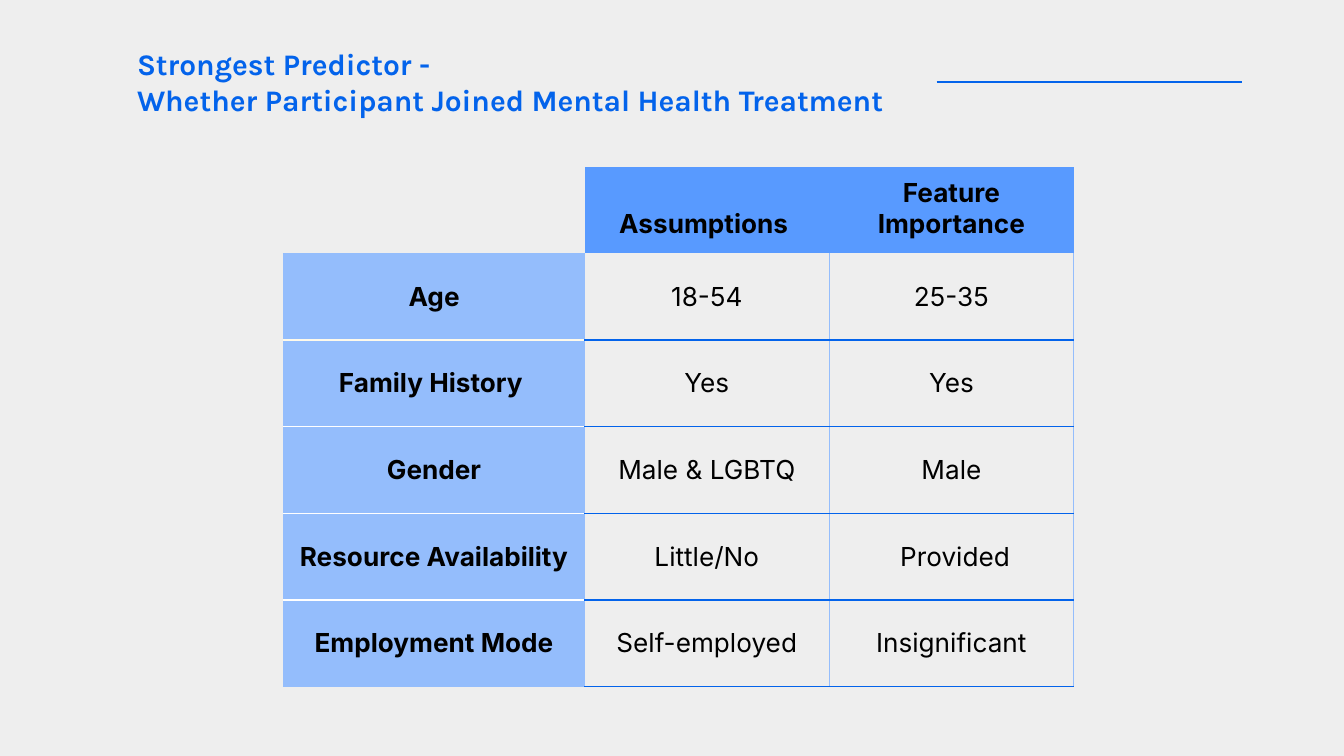
from lxml.etree import SubElement
from pptx import Presentation
from pptx.dml.color import RGBColor
from pptx.enum.shapes import MSO_CONNECTOR
from pptx.enum.text import MSO_ANCHOR, PP_ALIGN
from pptx.oxml.ns import qn
from pptx.util import Inches, Pt

BLUE, HEADER_BLUE, LABEL_BLUE = "0363EB", "589AFF", "94BDFC"
CREAM, WHITE, BLACK, BACKGROUND = "FFFAEA", "FFFFFF", "000000", "EEEEEE"
COLUMN_WIDTHS = (2.24, 1.82, 1.82)
TABLE_HEIGHT = 3.87
HEADINGS = ("", "Assumptions ", "Feature Importance")
PREDICTORS = (
    ("Age", "18-54", "25-35"),
    ("Family History ", "Yes", "Yes"),
    ("Gender", "Male & LGBTQ", "Male"),
    ("Resource Availability", "Little/No", " Provided"),
    ("Employment Mode", "Self-employed", "Insignificant"),
)
LABEL_RULES = (LABEL_BLUE, CREAM, WHITE, WHITE, WHITE, LABEL_BLUE)


def color(hex_code):
    return RGBColor.from_string(hex_code)


def write(frame, text, font, size, ink=BLACK, bold=False,
          align=PP_ALIGN.LEFT, anchor=MSO_ANCHOR.MIDDLE):
    frame.word_wrap = True
    frame.vertical_anchor = anchor
    for index, line in enumerate(text.split("\n")):
        paragraph = frame.add_paragraph() if index else frame.paragraphs[0]
        paragraph.alignment = align
        run = paragraph.add_run()
        run.text = line
        run.font.name = font
        run.font.size = Pt(size)
        run.font.bold = bold
        run.font.color.rgb = color(ink)


def add_title(slide, text):
    title = slide.shapes.add_textbox(
        Inches(0.77), Inches(0.28), Inches(6.2), Inches(0.65))
    frame = title.text_frame
    frame.margin_left = frame.margin_right = Inches(0.25)
    write(frame, text, "Karla", 16, ink=BLUE, bold=True)


def add_rule(slide, left, right, height):
    rule = slide.shapes.add_connector(
        MSO_CONNECTOR.STRAIGHT,
        Inches(left), Inches(height), Inches(right), Inches(height))
    rule.line.color.rgb = color(BLUE)
    rule.line.width = Pt(0.75)
    SubElement(rule._element.spPr, qn("a:effectLst"))


def set_borders(cell, left=None, right=None, top=None, bottom=None):
    properties = cell._tc.get_or_add_tcPr()
    for tag, ink in (("lnL", left), ("lnR", right), ("lnT", top), ("lnB", bottom)):
        edge = SubElement(properties, qn(f"a:{tag}"), w=str(Pt(0.75)))
        if ink:
            fill = SubElement(edge, qn("a:solidFill"))
            SubElement(fill, qn("a:srgbClr"), val=ink)
        else:
            SubElement(edge, qn("a:noFill"))


def fill_cell(cell, text, fill=None, bold=False,
              anchor=MSO_ANCHOR.MIDDLE, bottom_margin=0.07):
    cell.margin_top = Inches(0.07)
    cell.margin_bottom = Inches(bottom_margin)
    cell.vertical_anchor = anchor
    if fill:
        cell.fill.solid()
        cell.fill.fore_color.rgb = color(fill)
    else:
        cell.fill.background()
    if text:
        write(cell.text_frame, text, "Inter", 14, bold=bold,
              align=PP_ALIGN.CENTER, anchor=anchor)


def add_predictor_table(slide, left, top):
    row_count = len(PREDICTORS) + 1
    table = slide.shapes.add_table(
        row_count, len(COLUMN_WIDTHS), Inches(left), Inches(top),
        Inches(sum(COLUMN_WIDTHS)), Inches(TABLE_HEIGHT)).table
    table.first_row = table.horz_banding = False
    for column, width in zip(table.columns, COLUMN_WIDTHS):
        column.width = Inches(width)

    for column, heading in enumerate(HEADINGS):
        cell = table.cell(0, column)
        set_borders(cell, bottom=None if heading else LABEL_BLUE)
        fill_cell(cell, heading, fill=HEADER_BLUE if heading else None,
                  bold=True, anchor=MSO_ANCHOR.BOTTOM, bottom_margin=0.1)

    for row, (predictor, *findings) in enumerate(PREDICTORS, 1):
        label = table.cell(row, 0)
        set_borders(label, LABEL_BLUE, LABEL_BLUE,
                    LABEL_RULES[row - 1], LABEL_RULES[row])
        fill_cell(label, predictor, fill=LABEL_BLUE, bold=True)
        for column, finding in enumerate(findings, 1):
            cell = table.cell(row, column)
            set_borders(cell, LABEL_BLUE, LABEL_BLUE,
                        BLUE if row > 1 else None, BLUE)
            fill_cell(cell, finding)


def main():
    presentation = Presentation()
    presentation.slide_width = Inches(10)
    presentation.slide_height = presentation.slide_width * 9 // 16
    slide = presentation.slides.add_slide(presentation.slide_layouts[6])
    slide.background.fill.solid()
    slide.background.fill.fore_color.rgb = color(BACKGROUND)
    add_title(slide, "Strongest Predictor -\n"
                     "Whether Participant Joined Mental Health Treatment")
    add_rule(slide, 6.97, 9.24, 0.61)
    add_predictor_table(slide, 2.11, 1.24)
    presentation.save("out.pptx")


if __name__ == "__main__":
    main()
